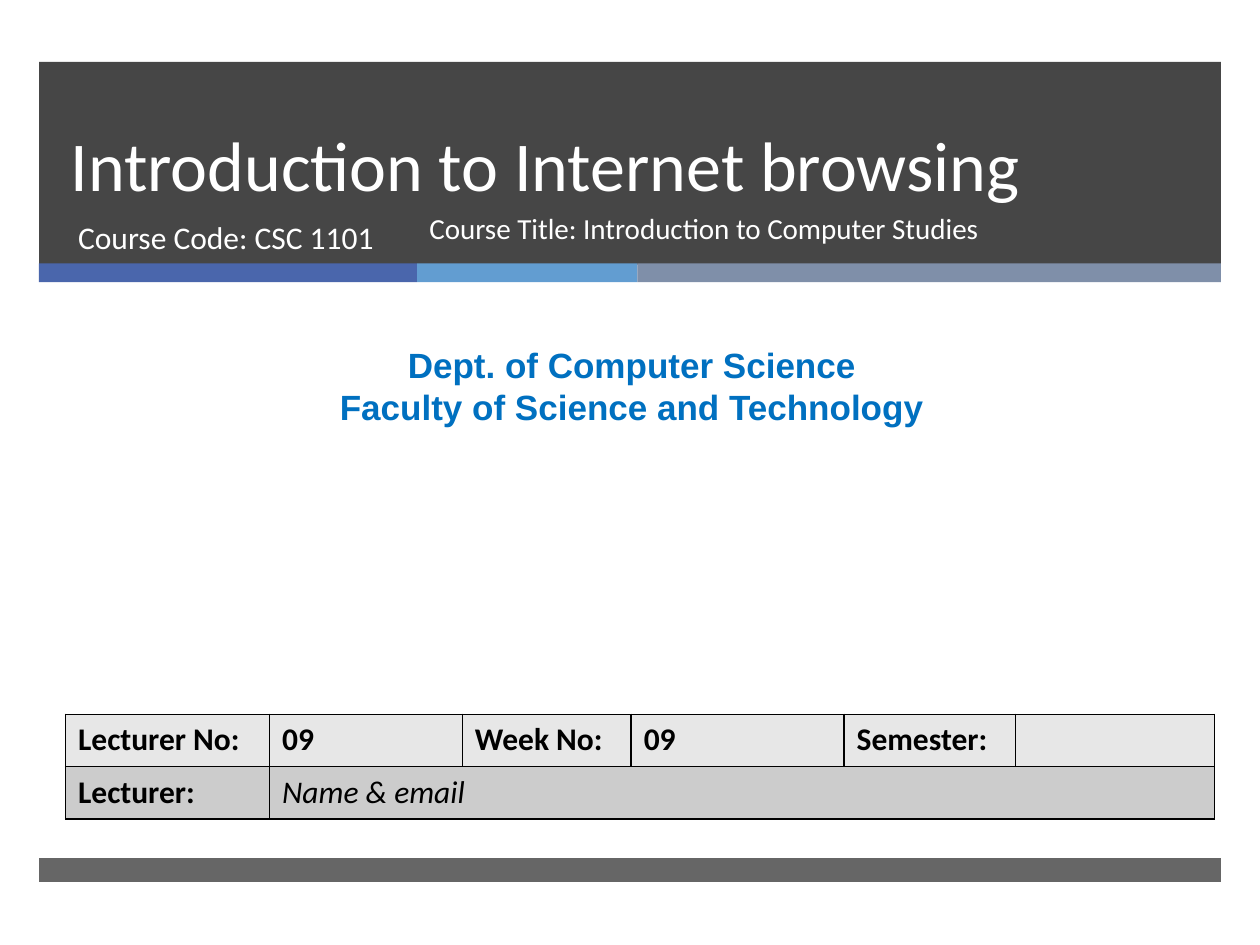
from lxml import etree
from pptx import Presentation
from pptx import util as u
from pptx.dml.color import RGBColor
from pptx.enum import shapes, text
from pptx.oxml import ns

WHITE = RGBColor(0xFF, 0xFF, 0xFF)
BLACK = RGBColor(0x00, 0x00, 0x00)
CHARCOAL = RGBColor(0x26, 0x26, 0x26)
INDIGO = RGBColor(0x4A, 0x66, 0xAC)
SKY = RGBColor(0x62, 0x9D, 0xD1)
SLATE = RGBColor(0x7F, 0x8F, 0xA9)
DEPARTMENT_BLUE = RGBColor(0x00, 0x70, 0xC0)
ROW_FILLS = [RGBColor(0xE7, 0xE7, 0xE7), RGBColor(0xCC, 0xCC, 0xCC)]


def write_text(frame, content, size=18, color=WHITE, font="Calibri", bold=False,
               italic=False, align=text.PP_ALIGN.LEFT, line_spacing=1.0):
    frame.word_wrap = True
    frame.text = content
    for paragraph in frame.paragraphs:
        paragraph.alignment = align
        paragraph.line_spacing = line_spacing
        paragraph.space_before = u.Pt(0)
        for run in paragraph.runs:
            run.font.name = font
            run.font.size = u.Pt(size)
            run.font.bold = bold
            run.font.italic = italic
            run.font.color.rgb = color


def place(shape, left, top, width, height):
    shape.left, shape.top = u.Inches(left), u.Inches(top)
    shape.width, shape.height = u.Inches(width), u.Inches(height)


presentation = Presentation()
presentation.slide_width = u.Inches(10)
presentation.slide_height = u.Inches(7.5)
slide = presentation.slides.add_slide(presentation.slide_layouts[0])
title, subtitle = slide.placeholders

bars = [
    (0.31, 0.49, 9.38, 1.61, CHARCOAL, 85),
    (0.31, 2.09, 3, 0.15, INDIGO, 100),
    (3.31, 2.09, 1.75, 0.15, SKY, 100),
    (5.06, 2.09, 4.63, 0.15, SLATE, 100),
    (0.31, 6.81, 9.38, 0.19, CHARCOAL, 70),
]
for left, top, width, height, color, opacity in bars:
    bar = slide.shapes.add_shape(shapes.MSO_SHAPE.RECTANGLE, u.Inches(left),
                                 u.Inches(top), u.Inches(width), u.Inches(height))
    bar.shadow.inherit = False
    bar.line.fill.background()
    bar.fill.solid()
    bar.fill.fore_color.rgb = color
    if opacity < 100:
        fill_color = bar.element.spPr.find(".//" + ns.qn("a:srgbClr"))
        etree.SubElement(fill_color, ns.qn("a:alpha"), val=str(opacity * 1000))

place(title, 0.46, 0.49, 8.54, 1.19)
write_text(title.text_frame, "Introduction to Internet browsing", size=40,
           line_spacing=u.Pt(46))
title.text_frame.vertical_anchor = text.MSO_ANCHOR.BOTTOM
place(subtitle, 0.52, 1.68, 3.05, 0.53)
write_text(subtitle.text_frame, "Course Code: CSC 1101")
for placeholder in (title, subtitle):
    placeholder.text_frame.auto_size = text.MSO_AUTO_SIZE.NONE
    slide.shapes.element.append(placeholder.element)

department = slide.shapes.add_textbox(u.Inches(0.08), u.Inches(2.68),
                                      u.Inches(9.87), u.Inches(0.77))
write_text(department.text_frame,
           "Dept. of Computer Science\nFaculty of Science and Technology",
           size=20, color=DEPARTMENT_BLUE, font="Arial", bold=True,
           align=text.PP_ALIGN.CENTER)

column_widths = [1.62, 1.53, 1.34, 1.69, 1.36, 1.58]
rows = [
    ["Lecturer No:", "09", "Week No:", "09", "Semester:", ""],
    ["Lecturer:", "Name & email", "", "", "", ""],
]
table = slide.shapes.add_table(len(rows), len(column_widths), u.Inches(0.52),
                               u.Inches(5.67), u.Inches(9.12), u.Inches(0.83)).table
for column, width in zip(table.columns, column_widths):
    column.width = u.Inches(width)
for row_index, labels in enumerate(rows):
    for column_index, label in enumerate(labels):
        cell = table.cell(row_index, column_index)
        is_name = label == "Name & email"
        if label:
            write_text(cell.text_frame, label, color=BLACK, bold=not is_name,
                       italic=is_name)
        properties = cell._tc.get_or_add_tcPr()
        for side in ("lnL", "lnR", "lnT", "lnB"):
            border = etree.SubElement(properties, ns.qn("a:" + side),
                                      w=str(u.Pt(1)))
            border_fill = etree.SubElement(border, ns.qn("a:solidFill"))
            etree.SubElement(border_fill, ns.qn("a:srgbClr"), val=str(BLACK))
        cell.fill.solid()
        cell.fill.fore_color.rgb = ROW_FILLS[row_index]
table.cell(1, 1).merge(table.cell(1, 5))

course_title = slide.shapes.add_textbox(u.Inches(3.31), u.Inches(1.62),
                                        u.Inches(4.86), u.Inches(0.53))
write_text(course_title.text_frame, "Course Title: Introduction to Computer Studies",
           size=16.6)

presentation.save("out.pptx")
